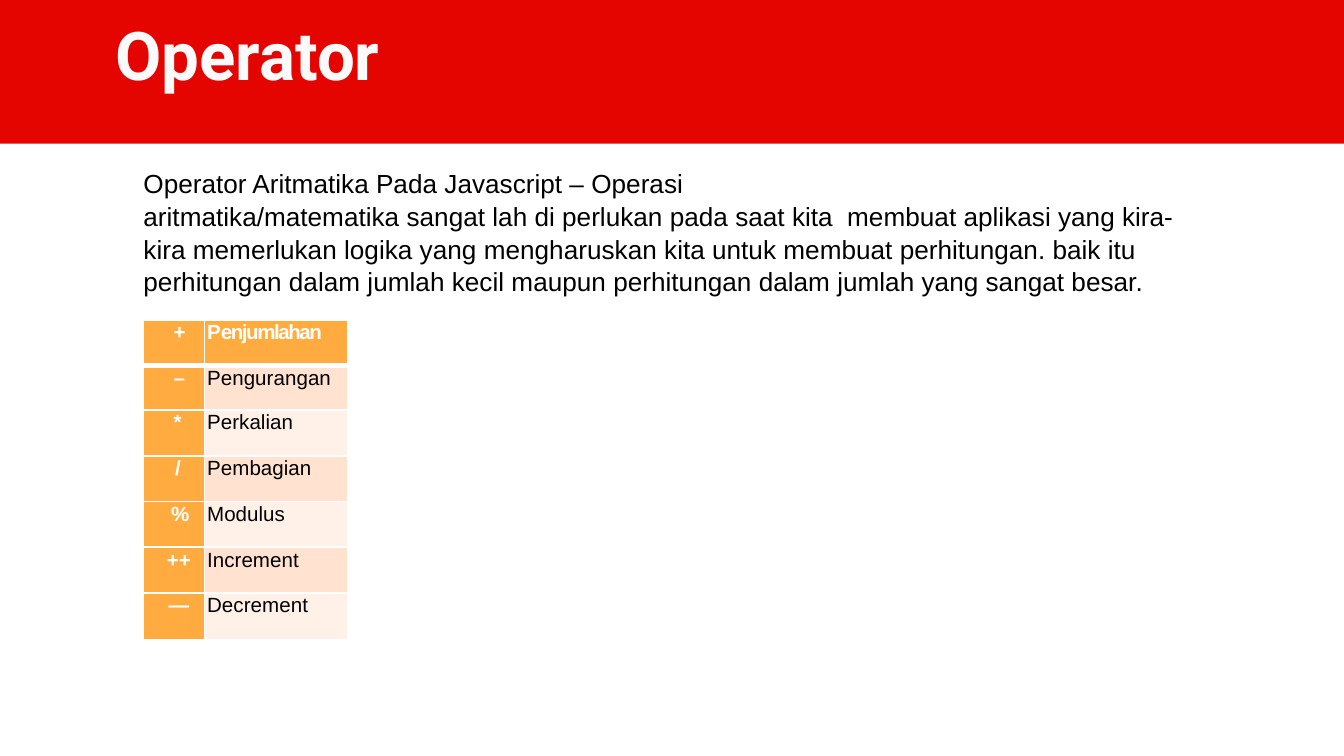
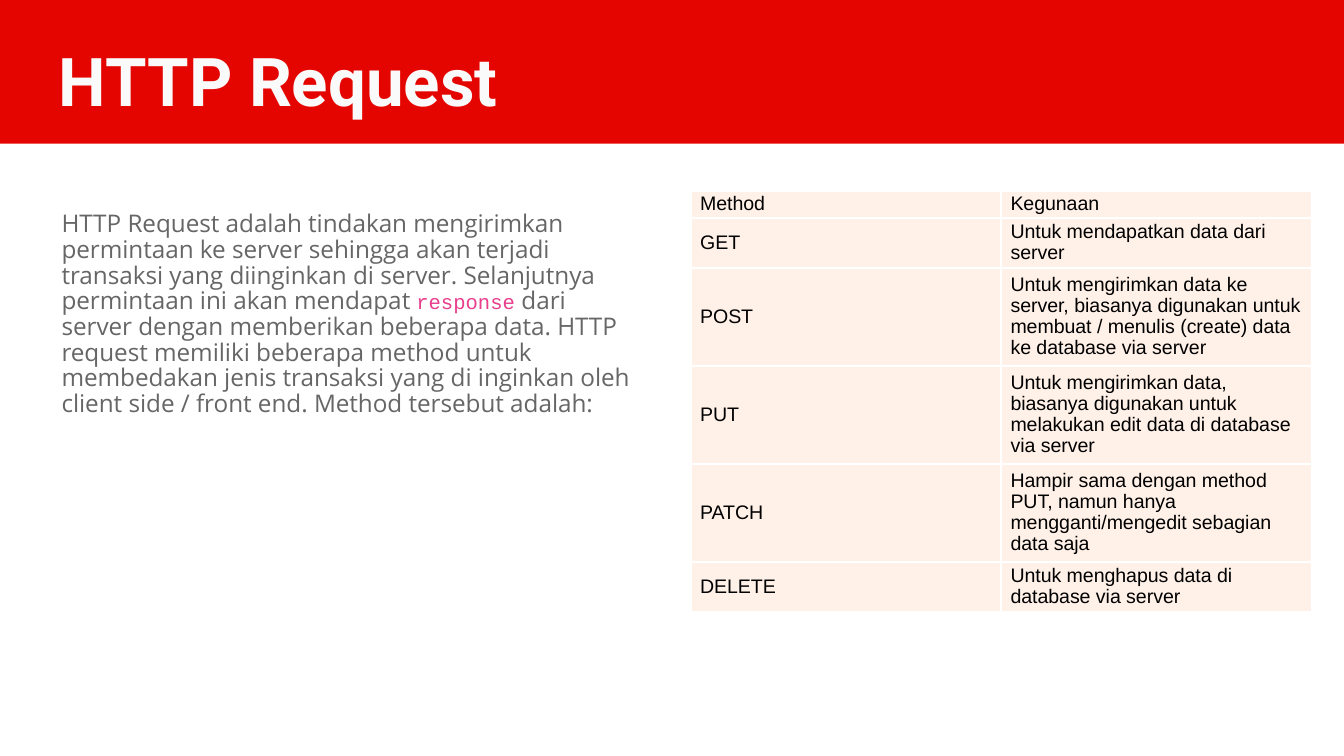
from lxml.etree import SubElement
from pptx import Presentation
from pptx.dml.color import RGBColor
from pptx.enum.shapes import MSO_SHAPE as Shape
from pptx.enum.text import MSO_ANCHOR as Anchor, PP_ALIGN as Align
from pptx.oxml.ns import qn
from pptx.util import Pt

RED = RGBColor(0xE4, 0x05, 0x00)
OFF_WHITE = RGBColor(0xFA, 0xFA, 0xFA)
WHITE = RGBColor(0xFF, 0xFF, 0xFF)
BLACK = RGBColor(0x00, 0x00, 0x00)
GRAY = RGBColor(0x66, 0x66, 0x66)
PINK = RGBColor(0xE8, 0x3E, 0x8C)
ORANGE = RGBColor(0xFF, 0xAB, 0x40)
PEACH = RGBColor(0xFF, 0xE2, 0xCF)
PALE = RGBColor(0xFF, 0xF1, 0xE8)

SLIDE_SIZE = (720, 405)
BAND_BOX = (-0.72, -2.88, 720.72, 79.92)
TITLE_SIZE = (671, 45.4)

OPERATOR_INTRO = [
    "Operator Aritmatika Pada Javascript – Operasi",
    "aritmatika/matematika sangat lah di perlukan pada saat kita  membuat aplikasi "
    "yang kira-kira memerlukan logika yang mengharuskan kita untuk membuat "
    "perhitungan. baik itu perhitungan dalam jumlah kecil maupun perhitungan dalam "
    "jumlah yang sangat besar.",
]
# Symbol, its indent, then the name as (letters, letter spacing) pieces
OPERATORS = [
    ("+", 15.8, [("P", -0.2), ("enjumlahan", -0.8)]),
    ("–", 15.8, [("P", -0.3), ("engu", 0), ("r", -0.5), ("an", 0), ("g", -0.2), ("an", 0)]),
    ("*", 15.8, [("P", -0.3), ("er", 0), ("k", -0.3), ("alian", 0)]),
    ("/", 16.5, [("P", -0.3), ("embagian", 0)]),
    ("%", 14.4, [("Modulus", 0)]),
    ("++", 12.2, [("Inc", 0), ("r", -0.3), ("eme", 0), ("n", -0.1), ("t", 0)]),
    ("—", 13, [("Dec", 0), ("r", -0.3), ("eme", 0), ("n", -0.1), ("t", 0)]),
]
JUSTIFIED_ROWS = 3

REQUEST_INTRO = [
    ("HTTP Request adalah tindakan mengirimkan permintaan ke server sehingga akan "
     "terjadi transaksi yang diinginkan di server. Selanjutnya permintaan ini akan "
     "mendapat ", {}),
    ("response", dict(size=11, font="Courier New", color=PINK)),
    (" dari server dengan memberikan beberapa data. HTTP request memiliki beberapa "
     "method untuk membedakan jenis transaksi yang di inginkan oleh client side / "
     "front end. Method tersebut adalah:", {}),
]
# Method, its use, row height
METHODS = [
    ("Method", "Kegunaan", 14.6),
    ("GET", "Untuk mendapatkan data dari server", 26.8),
    ("POST", "Untuk mengirimkan data ke server, biasanya digunakan untuk membuat / "
     "menulis (create) data ke database via server", 52.5),
    ("PUT", "Untuk mengirimkan data, biasanya digunakan untuk melakukan edit data di "
     "database via server", 52.5),
    ("PATCH", "Hampir sama dengan method PUT, namun hanya mengganti/mengedit sebagian "
     "data saja", 52.5),
    ("DELETE", "Untuk menghapus data di database via server", 26.8),
]


def points(values):
    return [Pt(value) for value in values]


def write(para, text, size=11, font="Arial", color=BLACK, bold=False, spacing=0):
    span = para.add_run()
    span.text = text
    span.font.size = Pt(size)
    span.font.name = font
    span.font.color.rgb = color
    span.font.bold = bold
    if spacing:
        span.font._element.set("spc", str(round(spacing * 100)))


def set_insets(target, left, top, right, bottom):
    """Set the margins of a text frame or a table cell."""
    target.margin_left, target.margin_top = Pt(left), Pt(top)
    target.margin_right, target.margin_bottom = Pt(right), Pt(bottom)


def add_box(page, bounds, fill=None, anchor=Anchor.TOP):
    box = page.shapes.add_shape(Shape.RECTANGLE, *points(bounds)) if fill else \
        page.shapes.add_textbox(*points(bounds))
    if fill:
        box.shadow.inherit = False
        box.fill.solid()
        box.fill.fore_color.rgb = fill
        box.line.fill.background()
    box.text_frame.word_wrap = True
    box.text_frame.vertical_anchor = anchor
    box.text_frame.paragraphs[0].alignment = Align.LEFT
    return box.text_frame


def add_page(deck, title, left, top):
    """Add a slide with the red band and its title."""
    page = deck.slides.add_slide(deck.slide_layouts[6])
    add_box(page, BAND_BOX, fill=RED)
    frame = add_box(page, (left, top, *TITLE_SIZE))
    set_insets(frame, 7.2, 7.2, 7.2, 7.2)
    write(frame.paragraphs[0], title, size=36, font="Roboto", color=OFF_WHITE, bold=True)
    return page


def add_grid(page, left, top, widths, heights):
    bounds = points((left, top, sum(widths), sum(heights)))
    table = page.shapes.add_table(len(heights), len(widths), *bounds).table
    table.first_row = table.horz_banding = False
    for column, width in zip(table.columns, widths):
        column.width = Pt(width)
    for row, height in zip(table.rows, heights):
        row.height = Pt(height)
    return table


def style_cell(cell, fill, insets, anchor=Anchor.TOP, bottom=1, top=1):
    """Format a cell with white borders and return its paragraph."""
    set_insets(cell, *insets)
    cell.vertical_anchor = anchor
    properties = cell._tc.get_or_add_tcPr()
    for side, width in (("L", 1), ("R", 1), ("T", top), ("B", bottom)):
        line = SubElement(properties, qn(f"a:ln{side}"), w=str(Pt(width)))
        paint = SubElement(line, qn("a:solidFill"))
        SubElement(paint, qn("a:srgbClr"), val=str(WHITE))
    cell.fill.solid()
    cell.fill.fore_color.rgb = fill
    return cell.text_frame.paragraphs[0]


def indent(para, amount):
    para._p.get_or_add_pPr().set("marL", str(Pt(amount)))
    para._p.get_or_add_pPr().set("indent", "0")


def build_operators(deck):
    page = add_page(deck, "Operator", 54.7, 0)
    frame = add_box(page, (69.8, 85.7, 581, 74.9))
    for index, text in enumerate(OPERATOR_INTRO):
        para = frame.add_paragraph() if index else frame.paragraphs[0]
        para.line_spacing = 1.04
        write(para, text, size=14)

    heights = [24.5, 23.8, 24.5, 24.5, 24.5, 24.5, 25.2]
    table = add_grid(page, 76.6, 171.4, (33, 77), heights)
    for row, (symbol, offset, pieces) in enumerate(OPERATORS):
        header = row == 0
        name_fill = ORANGE if header else (PALE, PEACH)[row % 2]
        edges = dict(bottom=3 if header else 1, top=3 if row == 1 else 1)
        paras = [style_cell(table.cell(row, column), fill, (0.7, 0.7, 0.7, 0), **edges)
                 for column, fill in enumerate((ORANGE, name_fill))]
        for para, amount in zip(paras, (offset, 0.7)):
            indent(para, amount)
            para.alignment = Align.JUSTIFY if row < JUSTIFIED_ROWS else Align.LEFT
        write(paras[0], symbol, color=WHITE, bold=True)
        for letters, spacing in pieces:
            write(paras[1], letters, color=WHITE if header else BLACK,
                  bold=header, spacing=spacing)


def build_requests(deck):
    page = add_page(deck, "HTTP Request", 24.5, 13.7)
    frame = add_box(page, (25.9, 102.2, 324, 133.2), fill=WHITE, anchor=Anchor.MIDDLE)
    para = frame.paragraphs[0]
    para.line_spacing = 0.88
    for text, style in REQUEST_INTRO:
        write(para, text, **{"size": 13, "font": "Open Sans", "color": GRAY, **style})

    heights = [height for *_, height in METHODS]
    table = add_grid(page, 370.1, 102.2, (166.3, 166.3), heights)
    for row, (method, use, _) in enumerate(METHODS):
        for column, text in enumerate((method, use)):
            para = style_cell(table.cell(row, column), PALE, (5, 0.7, 5, 0.7), Anchor.MIDDLE)
            para.line_spacing = 0.96
            write(para, text, size=10.5)


def main():
    deck = Presentation()
    deck.slide_width, deck.slide_height = points(SLIDE_SIZE)
    build_operators(deck)
    build_requests(deck)
    deck.save("out.pptx")


if __name__ == "__main__":
    main()
